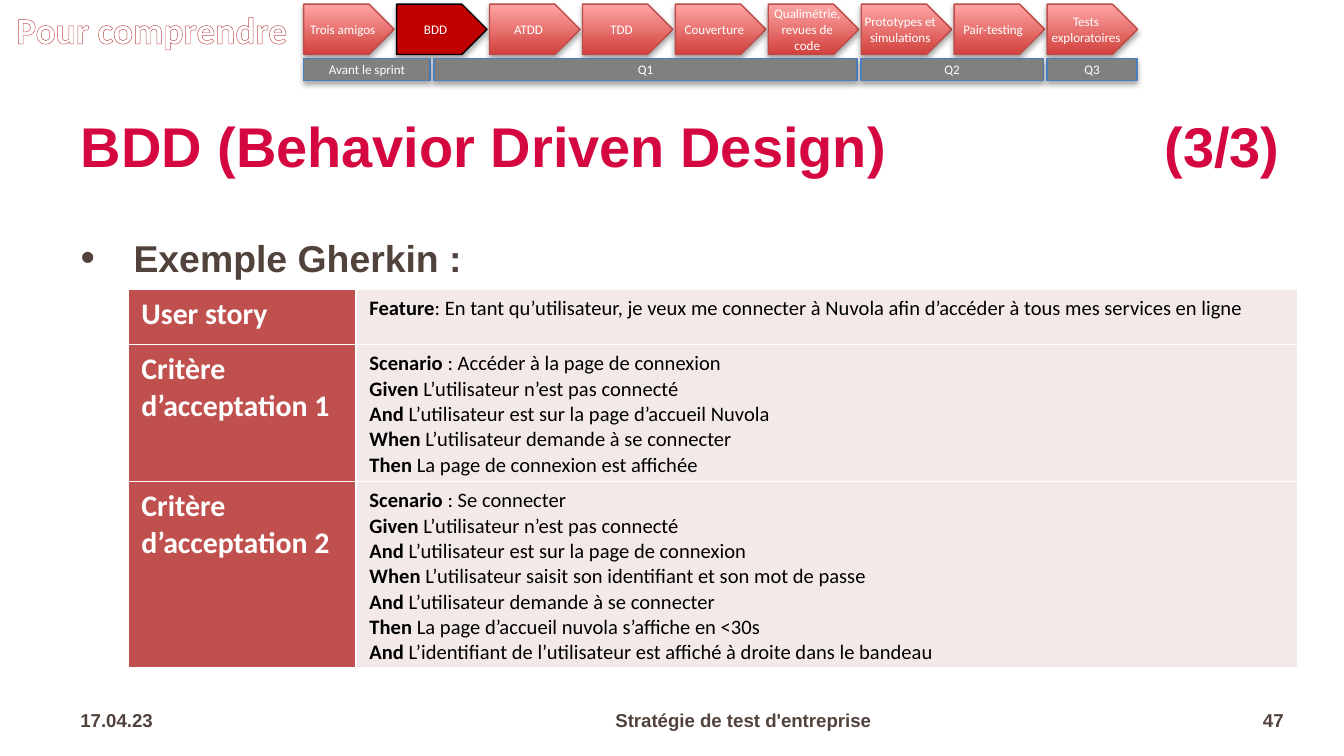
from dataclasses import dataclass

from pptx import Presentation
from pptx.dml.color import RGBColor
from pptx.enum.shapes import MSO_SHAPE
from pptx.enum.text import MSO_ANCHOR, MSO_AUTO_SIZE, PP_ALIGN
from pptx.oxml import parse_xml
from pptx.oxml.ns import nsdecls, qn
from pptx.util import Cm, Pt

PENTAGON, RECTANGLE = MSO_SHAPE.PENTAGON, MSO_SHAPE.RECTANGLE
MIDDLE, TOP = MSO_ANCHOR.MIDDLE, MSO_ANCHOR.TOP
FIXED, GROW = MSO_AUTO_SIZE.NONE, MSO_AUTO_SIZE.SHAPE_TO_FIT_TEXT
LEFT, CENTER, RIGHT = PP_ALIGN.LEFT, PP_ALIGN.CENTER, PP_ALIGN.RIGHT


@dataclass(frozen=True)
class Theme:
    heading_font: str = "Arial"
    body_font: str = "Calibri"
    title: str = "D40740"
    text: str = "52423C"
    white: str = "FFFFFF"
    black: str = "000000"
    accent: str = "C0504D"
    cell: str = "F4E9E9"
    step_gradient: tuple = ("D1403C", "FFA6A5")
    step_line: str = "BF4C48"
    active_step: str = "C00000"
    phase: str = "808080"
    phase_line: str = "4B7EBC"
    title_size: float = 30
    lead_size: float = 20
    label_size: float = 16
    detail_size: float = 11
    footer_size: float = 10
    step_size: float = 7


STEPS = ["Trois amigos", "BDD", "ATDD", "TDD", "Couverture",
         "Qualimétrie, revues de code", "Prototypes et simulations",
         "Pair-testing", "Tests exploratoires"]
ACTIVE_STEP = "BDD"
STEPS_LEFT, LAST_STEP_LEFT, STEP_WIDTH = 5.74, 19.79, 1.71

PHASES = [("Avant le sprint", 5.74), ("Q1", 8.2), ("Q2", 16.27), ("Q3", 19.79)]
PHASES_END, PHASE_GAP = 21.56, 0.07

FOOTER = [("17.04.23", 1.27, 3.61, LEFT),
          ("Stratégie de test d'entreprise", 4.95, 18.19, CENTER),
          ("47", 23.19, 1.32, RIGHT)]

STORY = [
    ("User story", 1.04, [
        ("Feature", ": En tant qu’utilisateur, je veux me connecter à Nuvola "
                    "afin d’accéder à tous mes services en ligne")]),
    ("Critère d’acceptation 1", 2.59, [
        ("Scenario ", ": Accéder à la page de connexion"),
        ("Given", " L’utilisateur n’est pas connecté"),
        ("And", " L’utilisateur est sur la page d’accueil Nuvola"),
        ("When", " L’utilisateur demande à se connecter"),
        ("Then", " La page de connexion est affichée")]),
    ("Critère d’acceptation 2", 3.5, [
        ("Scenario ", ": Se connecter"),
        ("Given", " L’utilisateur n’est pas connecté"),
        ("And", " L’utilisateur est sur la page de connexion"),
        ("When", " L’utilisateur saisit son identifiant et son mot de passe"),
        ("And", " L’utilisateur demande à se connecter"),
        ("Then", " La page d’accueil nuvola s’affiche en <30s"),
        ("And", " L’identifiant de l’utilisateur est affiché à droite dans le bandeau")]),
]


class SlideBuilder:
    def __init__(self, slide, theme):
        self.slide = slide
        self.theme = theme

    def format_run(self, run, size, color, font, bold=False):
        run.font.size = Pt(size)
        run.font.name = font
        run.font.bold = bold
        run.font.color.rgb = RGBColor.from_string(color)

    def set_text(self, frame, text, size, color, font, bold=False, align=LEFT, anchor=MIDDLE):
        frame.text = text
        frame.word_wrap = True
        frame.vertical_anchor = anchor
        paragraph = frame.paragraphs[0]
        paragraph.alignment = align
        self.format_run(paragraph.runs[0], size, color, font, bold)
        return paragraph

    def place(self, placeholder, left, top, width, height):
        placeholder.left, placeholder.top = Cm(left), Cm(top)
        placeholder.width, placeholder.height = Cm(width), Cm(height)
        placeholder.text_frame.auto_size = FIXED
        return placeholder.text_frame

    def title(self, text, box, tab):
        t = self.theme
        frame = self.place(self.slide.shapes.title, *box)
        heading = self.set_text(frame, text, t.title_size, t.title, t.heading_font, True)
        heading.line_spacing = 0.9
        heading._p.get_or_add_pPr().append(parse_xml(
            f'<a:tabLst {nsdecls("a")}><a:tab pos="{Cm(tab)}" algn="r"/></a:tabLst>'))

    def bullet(self, text, box, indent):
        t = self.theme
        frame = self.place(self.slide.placeholders[1], *box)
        lead = self.set_text(frame, text, t.lead_size, t.text, t.heading_font, True, anchor=TOP)
        lead.space_before = Pt(24)
        properties = lead._p.get_or_add_pPr()
        properties.set("marL", str(Cm(indent)))
        properties.set("indent", str(-Cm(indent)))
        for tag in ('buSzPct val="110000"', 'buFont typeface="Arial"', 'buChar char="•"'):
            properties.append(parse_xml(f'<a:{tag} {nsdecls("a")}/>'))

    def footer(self, text, left, width, align):
        t = self.theme
        box = self.slide.shapes.add_textbox(Cm(left), Cm(13.23), Cm(width), Cm(0.76))
        self.set_text(box.text_frame, text, t.footer_size, t.text, t.heading_font, True, align)

    def outlined_text(self, text, left, top, width, height):
        t = self.theme
        box = self.slide.shapes.add_textbox(Cm(left), Cm(top), Cm(width), Cm(height))
        banner = self.set_text(box.text_frame, text, t.lead_size, t.white, t.body_font,
                               True, CENTER, TOP)
        box.text_frame.auto_size = GROW
        banner.runs[0]._r.get_or_add_rPr().insert(0, parse_xml(
            f'<a:ln {nsdecls("a")} w="{Pt(0.52)}"><a:solidFill>'
            f'<a:srgbClr val="{t.accent}"/></a:solidFill></a:ln>'))

    def block(self, kind, text, left, top, width, height, fill, line):
        t = self.theme
        shape = self.slide.shapes.add_shape(kind, Cm(left), Cm(top), Cm(width), Cm(height))
        if isinstance(fill, tuple):
            shape.fill.gradient()
            shape.fill.gradient_angle = 90
            for stop, color in zip(shape.fill.gradient_stops, fill):
                stop.color.rgb = RGBColor.from_string(color)
        else:
            shape.fill.solid()
            shape.fill.fore_color.rgb = RGBColor.from_string(fill)
        shape.line.color.rgb = RGBColor.from_string(line)
        shape.line.width = Pt(0.75)
        shape.shadow.inherit = False
        shape._element.spPr.find(qn("a:effectLst")).append(parse_xml(
            f'<a:outerShdw {nsdecls("a")} blurRad="{Pt(3.1)}" dist="{Pt(1.8)}" '
            f'dir="5400000" rotWithShape="0"><a:srgbClr val="{t.black}">'
            '<a:alpha val="35000"/></a:srgbClr></a:outerShdw>'))
        self.set_text(shape.text_frame, text, t.step_size, t.white, t.body_font, align=CENTER)
        return shape

    def step(self, text, left, active):
        t = self.theme
        fill, line = (t.active_step, t.black) if active else (t.step_gradient, t.step_line)
        frame = self.block(PENTAGON, text, left, 0.08, STEP_WIDTH, 0.95, fill, line).text_frame
        frame.margin_left = frame.margin_right = frame.margin_top = frame.margin_bottom = 0

    def phase(self, text, left, width):
        t = self.theme
        self.block(RECTANGLE, text, left, 1.11, width, 0.41, t.phase, t.phase_line)

    def fill_cell(self, cell, color):
        cell.fill.solid()
        cell.fill.fore_color.rgb = RGBColor.from_string(color)
        for index, side in enumerate(("lnL", "lnR", "lnT", "lnB")):
            cell._tc.get_or_add_tcPr().insert(index, parse_xml(
                f'<a:{side} {nsdecls("a")} w="{Pt(1)}"><a:solidFill>'
                f'<a:srgbClr val="{self.theme.white}"/></a:solidFill></a:{side}>'))

    def story_table(self, story, left, top, widths):
        t = self.theme
        height = sum(row_height for _, row_height, _ in story)
        table = self.slide.shapes.add_table(len(story), len(widths), Cm(left), Cm(top),
                                            Cm(sum(widths)), Cm(height)).table
        table.first_row = table.horz_banding = False
        for column, width in zip(table.columns, widths):
            column.width = Cm(width)
        for row, (label, row_height, clauses) in zip(table.rows, story):
            row.height = Cm(row_height)
            label_cell, clause_cell = row.cells
            self.fill_cell(label_cell, t.accent)
            self.fill_cell(clause_cell, t.cell)
            self.set_text(label_cell.text_frame, label, t.label_size, t.white,
                          t.body_font, True, anchor=TOP)
            frame = clause_cell.text_frame
            frame.text = "\n".join(keyword for keyword, _ in clauses)
            for paragraph, (_, sentence) in zip(frame.paragraphs, clauses):
                paragraph.add_run().text = sentence
                for run, bold in zip(paragraph.runs, (True, False)):
                    self.format_run(run, t.detail_size, t.black, t.body_font, bold)


def main():
    deck = Presentation()
    deck.slide_width, deck.slide_height = Cm(25.4), Cm(14.29)
    builder = SlideBuilder(deck.slides.add_slide(deck.slide_layouts[1]), Theme())
    builder.title("BDD (Behavior Driven Design)\t(3/3)", (1.27, 1.5, 23.24, 2.64), 22.66)
    for part in FOOTER:
        builder.footer(*part)
    builder.bullet("Exemple Gherkin :", (1.27, 4.32, 23.24, 8.71), 1)
    builder.outlined_text("Pour comprendre", 0, 0, 5.74, 1.11)
    builder.story_table(STORY, 2.42, 5.47, (4.31, 17.8))
    pitch = (LAST_STEP_LEFT - STEPS_LEFT) / (len(STEPS) - 1)
    for index, step in enumerate(STEPS):
        builder.step(step, STEPS_LEFT + index * pitch, step == ACTIVE_STEP)
    ends = [left for _, left in PHASES[1:]] + [PHASES_END]
    for (phase, left), end in zip(PHASES, ends):
        builder.phase(phase, left, end - left - PHASE_GAP)
    deck.save("out.pptx")


if __name__ == "__main__":
    main()
